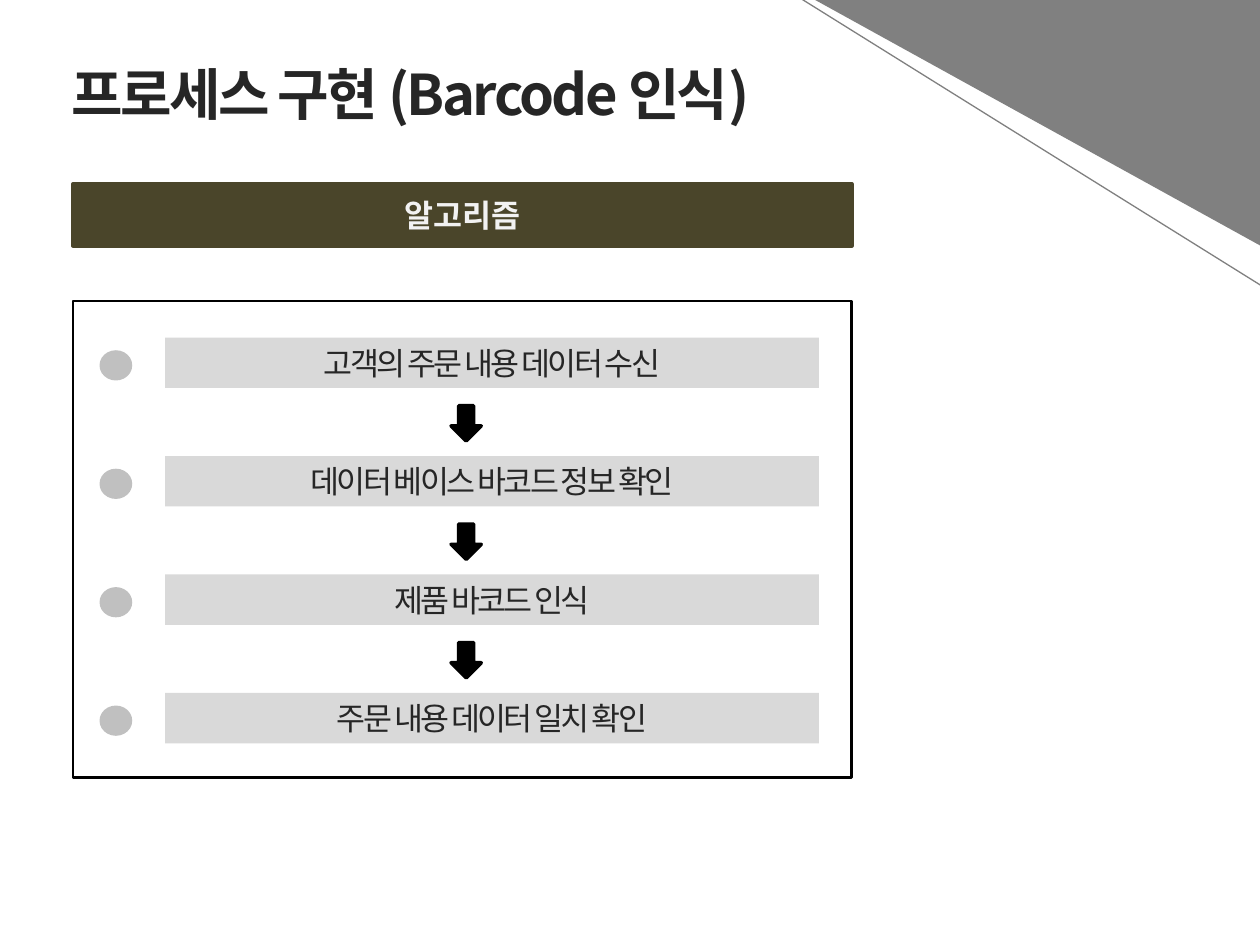
from lxml import etree
from pptx import Presentation
from pptx.dml.color import RGBColor
from pptx.enum.shapes import MSO_CONNECTOR, MSO_SHAPE
from pptx.enum.text import MSO_ANCHOR, PP_ALIGN
from pptx.oxml.ns import qn
from pptx.util import Inches, Pt

RECT, OVAL = MSO_SHAPE.RECTANGLE, MSO_SHAPE.OVAL
ARROW, WEDGE = MSO_SHAPE.DOWN_ARROW, MSO_SHAPE.RIGHT_TRIANGLE
LEFT, CENTER = PP_ALIGN.LEFT, PP_ALIGN.CENTER
TOP, MIDDLE = MSO_ANCHOR.TOP, MSO_ANCHOR.MIDDLE

FONT = "Noto Sans CJK KR"
BLACK = RGBColor(0, 0, 0)
WHITE = RGBColor(255, 255, 255)
INK = RGBColor(0x26, 0x26, 0x26)
PALE = RGBColor(0xF2, 0xF2, 0xF2)
GRAY = RGBColor(0x80, 0x80, 0x80)
LIGHT = RGBColor(0xD9, 0xD9, 0xD9)
OLIVE = RGBColor(0x4A, 0x45, 0x2A)

TITLE = "프로세스 구현 (Barcode 인식)"
HEADER = "알고리즘"
STEPS = [
    "고객의 주문 내용 데이터 수신",
    "데이터 베이스 바코드 정보 확인",
    "제품 바코드 인식",
    "주문 내용 데이터 일치 확인",
]
FIRST, PITCH = 2.68, 0.94


def add(parent, tag, **attrs):
    return etree.SubElement(parent, qn(tag), attrs)


def fade(fill, percent):
    """Make a solid fill partly transparent."""
    color = fill.find(".//" + qn("a:srgbClr"))
    add(color, "a:alpha", val=str(percent * 1000))


def write(shape, text, size=18, color=INK, bold=False, align=CENTER,
          anchor=TOP, tight=True):
    frame = shape.text_frame
    frame.word_wrap = True
    frame.vertical_anchor = anchor
    para = frame.paragraphs[0]
    para.alignment = align
    run = para.add_run()
    run.text = text
    font = run.font
    font.name, font.size, font.bold = FONT, Pt(size), bold
    font.color.rgb = color
    props = font._element
    props.find(qn("a:latin")).addnext(
        props.makeelement(qn("a:ea"), {"typeface": FONT}))
    if tight:
        props.set("spc", "-150")
        edge = props.makeelement(qn("a:ln"), {"w": str(Pt(0.75))})
        add(add(edge, "a:solidFill"), "a:srgbClr", val=str(BLACK))
        fade(edge, 20)
        props.insert(0, edge)


def draw(slide, kind, box, fill, line=None, width=0):
    shape = slide.shapes.add_shape(kind, *map(Inches, box))
    shape.shadow.inherit = False
    shape.fill.solid()
    shape.fill.fore_color.rgb = fill
    if line is None:
        shape.line.fill.background()
    else:
        shape.line.color.rgb = line
        shape.line.width = Pt(width)
    return shape


def corner(slide):
    wedge = draw(slide, WEDGE, (6.47, 0, 3.57, 1.97), GRAY)
    wedge.rotation = 180
    ends = map(Inches, (6.07, -0.19, 10.24, 2.41))
    rule = slide.shapes.add_connector(MSO_CONNECTOR.STRAIGHT, *ends)
    rule.line.color.rgb = GRAY
    rule.line.width = Pt(0.75)
    add(rule._element.spPr, "a:effectLst")


def main():
    deck = Presentation()
    deck.slide_width, deck.slide_height = Inches(10), Inches(7.5)
    slide = deck.slides.add_slide(deck.slide_layouts[5])

    title = slide.shapes.title
    title.left, title.top = Inches(0.47), Inches(0.42)
    title.width, title.height = Inches(6.69), Inches(0.64)
    write(title, TITLE, size=32, bold=True, align=LEFT)

    corner(slide)
    header = draw(slide, RECT, (0.58, 1.46, 6.18, 0.49), OLIVE, OLIVE, 2.25)
    write(header, HEADER, color=PALE, bold=True, anchor=MIDDLE, tight=False)
    draw(slide, RECT, (0.58, 2.39, 6.18, 3.78), WHITE, BLACK, 1.5)

    for i, step in enumerate(STEPS):
        top = FIRST + i * PITCH
        bar = draw(slide, RECT, (1.31, top, 5.19, 0.4), LIGHT)
        write(bar, step)
        dot = draw(slide, OVAL, (0.79, top + 0.1, 0.26, 0.24), GRAY)
        fade(dot._element.spPr, 49)
        if i < len(STEPS) - 1:
            draw(slide, ARROW, (3.58, top + 0.54, 0.24, 0.28), BLACK, BLACK, 2)

    deck.save("out.pptx")


if __name__ == "__main__":
    main()
